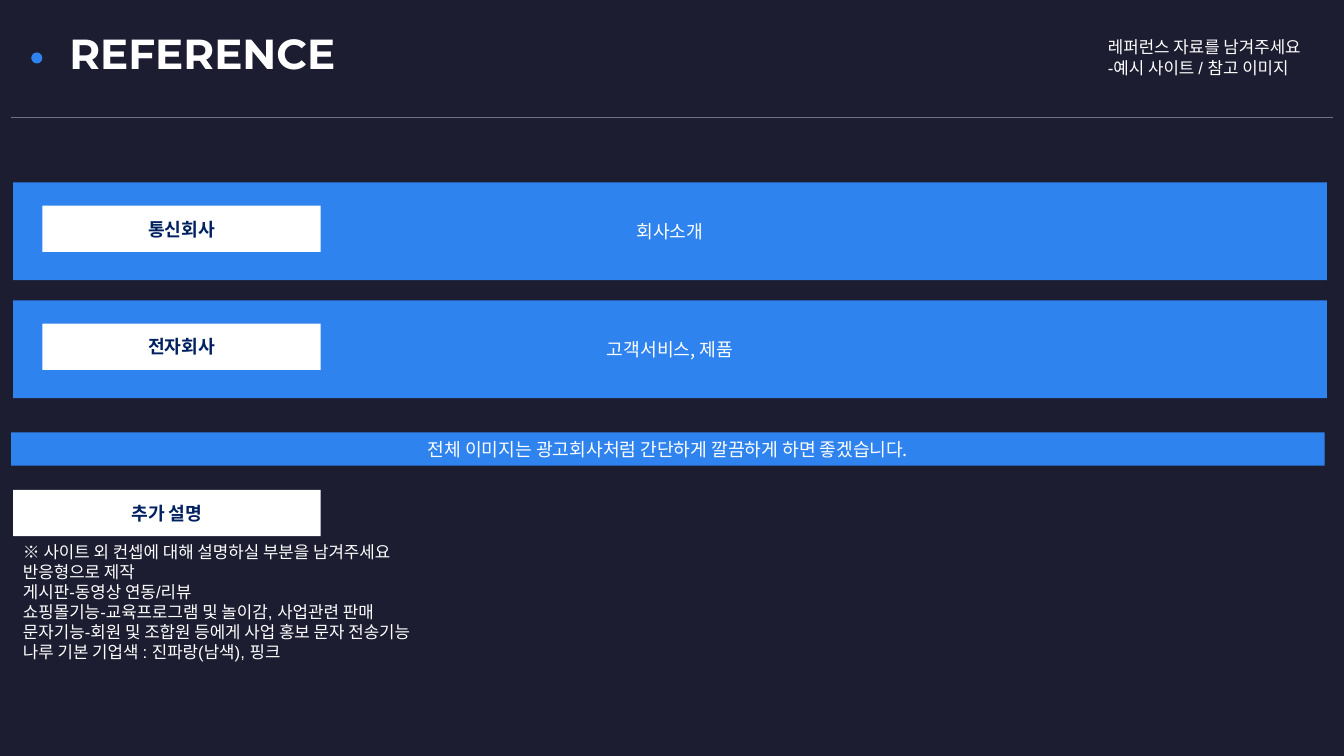
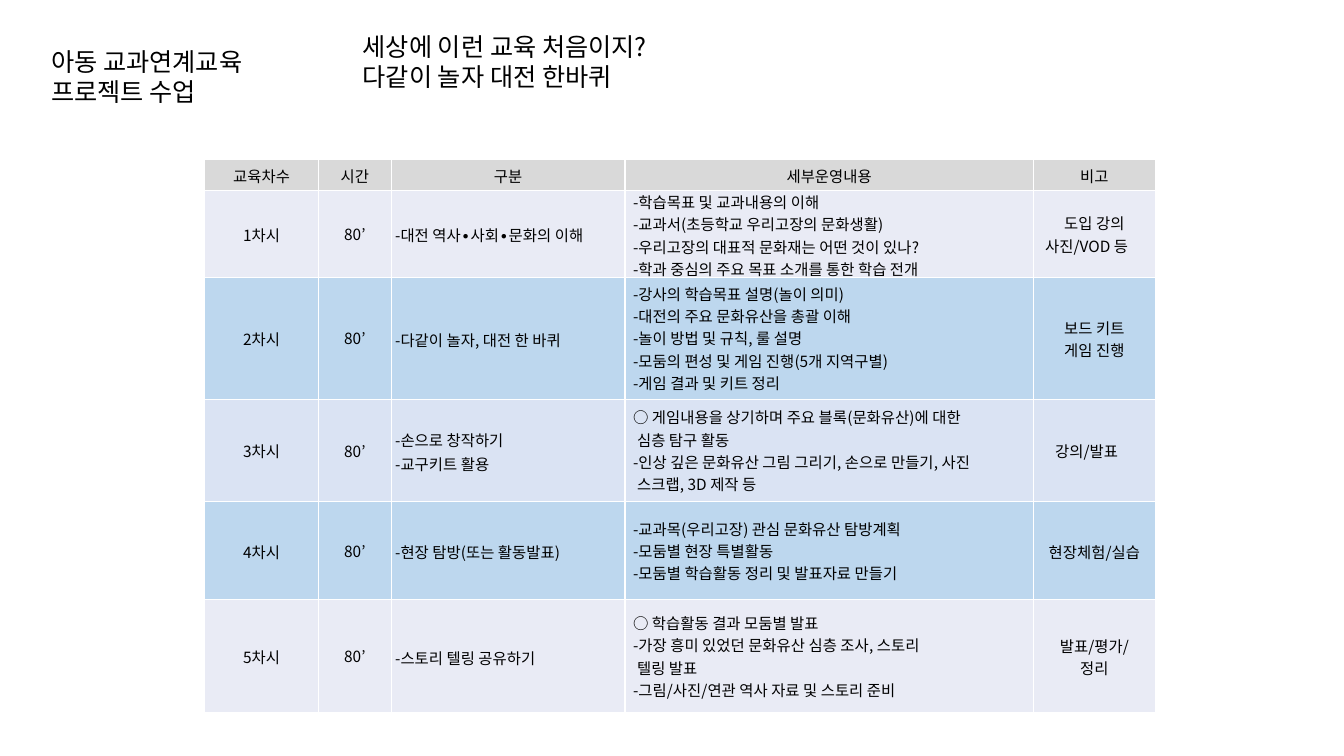
from pptx import Presentation
from pptx import util as u
from pptx.dml.color import RGBColor
from pptx.enum import shapes, text
from pptx.oxml import parse_xml
from pptx.oxml.ns import nsdecls
from lxml import etree

INK = {
    "night": "1C1D31", "blue": "2E83EF", "navy": "002060", "white": "FFFFFF",
    "black": "000000", "rule": "70717E", "head": "D9D9D9", "pale": "E9EBF5",
    "sky": "BDD7EE", "lilac": "DAE3F3",
}
NOTO, ARIAL, TITLE = "Noto Sans CJK KR", "Arial", "Montserrat"
MID, LEFT = text.PP_ALIGN.CENTER, text.PP_ALIGN.LEFT

COLS = [113, 72, 232, 405, 121]
ROWS = [31, 86, 121, 102, 97, 112]
INSETS = [(1, 1, 1, 0), (0, 0, 0, 0), (4, 1, 1, 0), (8, 0, 1, 0), (1, 1, 1, 0)]
FILLS = ["head", "pale", "sky", "lilac", "sky", "pale"]
HEADS = ["교육차수", "시간", "구분", "세부운영내용", "비고"]
PLAN = [
    ([[("-대전 ", NOTO), ("역사∙사회∙문화의 ", ARIAL), ("이해", NOTO)]],
     ["-학습목표 및 교과내용의 이해", "-교과서(초등학교 우리고장의 문화생활)",
      "-우리고장의 대표적 문화재는 어떤 것이 있나?",
      "-학과 중심의 주요 목표 소개를 통한 학습 전개"],
     ["도입 강의", "사진/VOD 등　"]),
    (["-다같이 놀자, 대전 한 바퀴"],
     ["-강사의 학습목표 설명(놀이 의미)", "-대전의 주요 문화유산을 총괄 이해",
      "-놀이 방법 및 규칙, 룰 설명", "-모둠의 편성 및 게임 진행(5개 지역구별)",
      "-게임 결과 및 키트 정리"],
     ["보드 키트", "게임 진행"]),
    (["-손으로 창작하기", "-교구키트 활용"],
     ["○ 게임내용을 상기하며 주요 블록(문화유산)에 대한\n심층 탐구 활동",
      "-인상 깊은 문화유산 그림 그리기, 손으로 만들기, 사진\n스크랩, 3D 제작 등"],
     ["강의/발표　"]),
    (["-현장 탐방(또는 활동발표)"],
     ["-교과목(우리고장) 관심 문화유산 탐방계획", "-모둠별 현장 특별활동",
      "-모둠별 학습활동 정리 및 발표자료 만들기"],
     ["현장체험/실습"]),
    (["-스토리 텔링 공유하기"],
     ["○ 학습활동 결과 모둠별 발표",
      "-가장 흥미 있었던 문화유산 심층 조사, 스토리\n텔링 발표",
      "-그림/사진/연관 역사 자료 및 스토리 준비"],
     ["발표/평가/", "정리"]),
]


def px(n):
    return u.Emu(n * 9144)


def rgb(name):
    return RGBColor.from_string(INK[name])


def add_run(para, words, size, font, ink, bold):
    run = para.add_run()
    run.text = words
    run.font.size = u.Pt(size)
    run.font.bold = bold
    run.font.color.rgb = rgb(ink)
    run.font.name = font
    east = etree.SubElement(run.font._element, "{http://schemas.openxmlformats.org/drawingml/2006/main}ea")
    east.set("typeface", NOTO)


def write(frame, lines, size, ink, font=NOTO, bold=False, align=LEFT, lead=None, hang=0):
    for i, line in enumerate(lines):
        para = frame.paragraphs[0] if i == 0 else frame.add_paragraph()
        para.alignment = align
        if lead:
            para.line_spacing = u.Pt(lead)
        if hang:
            props = para._p.get_or_add_pPr()
            props.set("marL", str(px(hang)))
            props.set("indent", str(-px(hang)))
        parts = [(line, font)] if isinstance(line, str) else line
        for words, face in parts:
            for j, piece in enumerate(words.split("\n")):
                if j:
                    para.add_line_break()
                add_run(para, piece, size, face, ink, bold)


def add_text(slide, at, lines, size, ink, **style):
    frame = slide.shapes.add_textbox(*map(px, at)).text_frame
    frame.word_wrap = True
    write(frame, lines, size, ink, **style)


def add_block(slide, at, fill, kind=shapes.MSO_SHAPE.RECTANGLE):
    block = slide.shapes.add_shape(kind, *map(px, at))
    block.shadow.inherit = False
    block.fill.solid()
    block.fill.fore_color.rgb = rgb(fill)
    block.line.fill.background()
    return block


def add_label(slide, at, words, fill, ink, bold=False):
    frame = add_block(slide, at, fill).text_frame
    frame.word_wrap = True
    frame.vertical_anchor = text.MSO_ANCHOR.MIDDLE
    write(frame, [words], 13, ink, bold=bold, align=MID)


def add_band(slide, at, words):
    add_label(slide, at, words, "blue", "white")


def add_tag(slide, at, words):
    add_label(slide, at, words, "white", "navy", True)


def add_rule(slide, left, right, y):
    rule = slide.shapes.add_connector(
        shapes.MSO_CONNECTOR.STRAIGHT, px(left), px(y), px(right), px(y))
    rule.line.color.rgb = rgb("rule")
    rule.line.width = u.Pt(0.5)
    rule._element.spPr.append(parse_xml(f"<a:effectLst {nsdecls('a')}/>"))


def style_cell(cell, fill, inset):
    props = cell._tc.get_or_add_tcPr()
    for side in "LRTB":
        props.append(parse_xml(
            f'<a:ln{side} {nsdecls("a")} w="12700"><a:solidFill>'
            f'<a:srgbClr val="{INK["white"]}"/></a:solidFill></a:ln{side}>'))
    cell.fill.solid()
    cell.fill.fore_color.rgb = rgb(fill)
    cell.vertical_anchor = text.MSO_ANCHOR.MIDDLE
    cell.margin_left, cell.margin_top, cell.margin_right, cell.margin_bottom = map(px, inset)


def add_plan(slide, left, top):
    grid = slide.shapes.add_table(
        len(ROWS), len(COLS), px(left), px(top), px(sum(COLS)), px(sum(ROWS))).table
    grid.first_row = grid.horz_banding = False
    for col, width in zip(grid.columns, COLS):
        col.width = px(width)
    for row, height in zip(grid.rows, ROWS):
        row.height = px(height)
    rows = [[[head] for head in HEADS]]
    rows += [[[f"{n}차시"], ["80’"], *rest] for n, rest in enumerate(PLAN, 1)]
    for r, row in enumerate(rows):
        for c, lines in enumerate(row):
            cell = grid.cell(r, c)
            body = r > 0
            style_cell(cell, FILLS[r], INSETS[c] if body else INSETS[0])
            write(cell.text_frame, lines, 11, "black",
                  align=LEFT if body and c in (2, 3) else MID,
                  lead=17 if body and c == 2 else None,
                  hang=4 if body and c == 3 else 0)


def add_page(deck, back):
    slide = deck.slides.add_slide(deck.slide_layouts[6])
    slide.background.fill.solid()
    slide.background.fill.fore_color.rgb = rgb(back)
    return slide


def build_brief(deck):
    slide = add_page(deck, "night")
    note = {"font": ARIAL, "lead": 14.4}
    add_text(slide, (1089, 32, 240, 60),
             ["레퍼런스 자료를 남겨주세요", "-예시 사이트 / 참고 이미지"], 12, "white", **note)
    add_text(slide, (59, 22, 400, 61), ["REFERENCE"], 30, "white", font=TITLE, bold=True)
    add_block(slide, (31, 52, 11, 11), "blue", shapes.MSO_SHAPE.OVAL)
    add_rule(slide, 11, 1322, 116)
    sites = [("통신회사", "회사소개"), ("전자회사", "고객서비스, 제품")]
    for i, (name, part) in enumerate(sites):
        top = 181 + 117 * i
        add_band(slide, (13, top, 1303, 97), part)
        add_tag(slide, (42, top + 23, 276, 46), name)
    add_band(slide, (11, 429, 1303, 33), "전체 이미지는 광고회사처럼 간단하게 깔끔하게 하면 좋겠습니다.")
    add_tag(slide, (13, 486, 305, 46), "추가 설명")
    add_text(slide, (13, 532, 667, 172), [
        "※ 사이트 외 컨셉에 대해 설명하실 부분을 남겨주세요",
        "반응형으로 제작",
        "게시판-동영상 연동/리뷰",
        "쇼핑몰기능-교육프로그램 및 놀이감, 사업관련 판매",
        "문자기능-회원 및 조합원 등에게 사업 홍보 문자 전송기능",
        "나루 기본 기업색 : 진파랑(남색), 핑크",
    ], 12, "white", **note)


def build_class(deck):
    slide = add_page(deck, "white")
    add_text(slide, (350, 26, 847, 71),
             ["세상에 이런 교육 처음이지?", "다같이 놀자 대전 한바퀴"], 18, "black", lead=21.6)
    add_text(slide, (41, 41, 264, 71),
             ["아동 교과연계교육", "프로젝트 수업"], 18, "black", lead=21.6)
    add_plan(slide, 203, 158)


def main():
    deck = Presentation()
    deck.slide_width, deck.slide_height = px(1333), px(750)
    build_brief(deck)
    build_class(deck)
    deck.save("out.pptx")


if __name__ == "__main__":
    main()
